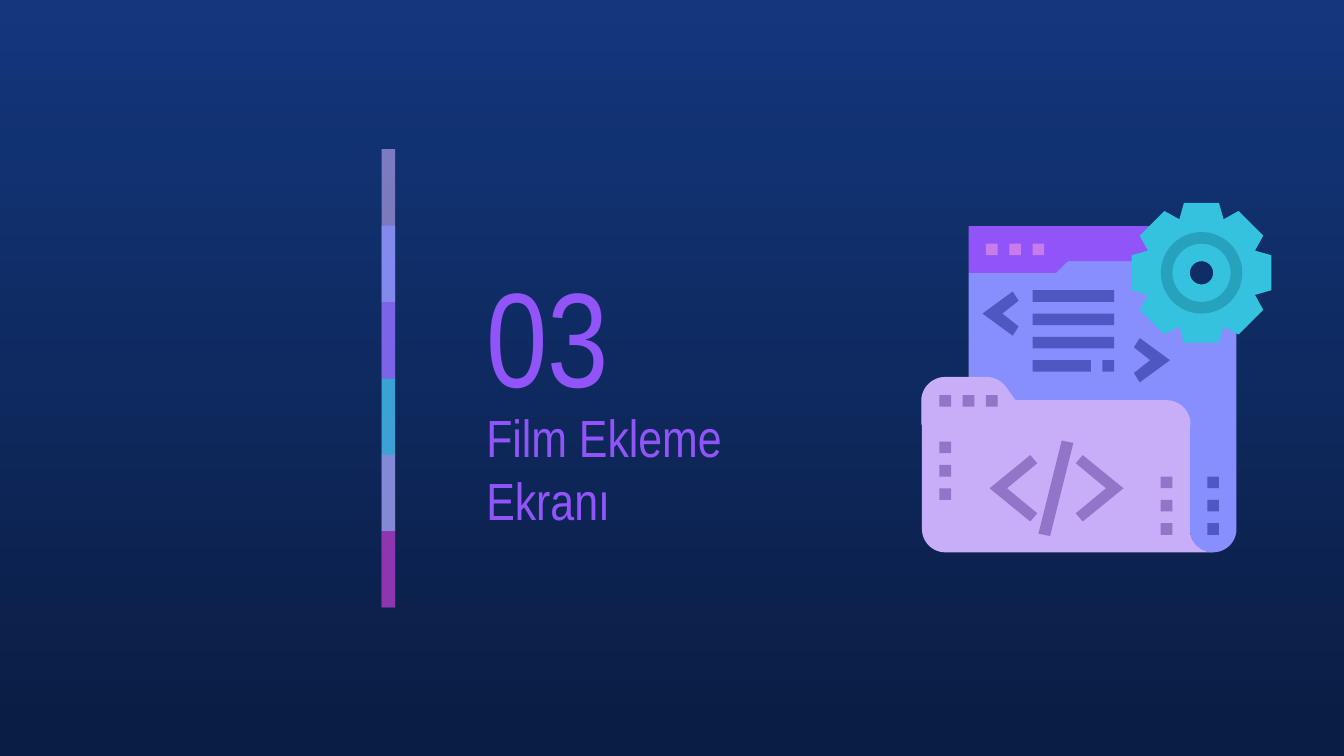
from math import cos, pi, radians, sin

from lxml.etree import SubElement
from pptx import Presentation
from pptx.dml.color import RGBColor
from pptx.enum.shapes import MSO_SHAPE
from pptx.enum.text import MSO_ANCHOR
from pptx.oxml.ns import qn
from pptx.util import Inches, Pt

COLORS = {
    "sky": "13367C", "night": "0A1D42",
    "lilac": "C8AEF8", "periwinkle": "878FFF", "violet": "9154F8",
    "cyan": "35C2DF", "pink": "CA7BEB", "magenta": "972CB4",
    "teal": "26A2BC", "mauve": "9275C8", "indigo": "4F57C3",
}
FONT = "Arial Narrow"
SLIDE_WIDTH = 10
SLIDE_HEIGHT = SLIDE_WIDTH * 9 / 16

# text, (left, top, width, height), size
TITLES = [
    ("03", (3.52, 1.81, 1.75, 1.35), 72),
    ("Film Ekleme Ekranı", (3.52, 3.15, 2.87, 0.67), 28),
]

# Each band reaches under the next one; colour, opacity in percent, steps high
BANDS = [
    ("lilac", 59, 2), ("periwinkle", 74, 2), ("violet", 53, 2),
    ("cyan", 76, 2), ("pink", 56, 2), ("magenta", 74, 1),
]
BAND_LEFT, BAND_TOP, BAND_WIDTH = 2.84, 1.11, 0.1
BAND_STEP = 3.41 / len(BANDS)

# The icon lies on a grid of 30 by 30 cells
ICON_LEFT, ICON_TOP, CELL = 6.86, 1.51, 2.6 / 30
GEAR_CENTER = (24, 6)

# colour, columns, rows, width in cells
BLOCKS = [
    ("pink", (5.5, 7.5, 9.5), (3.5,), 1),
    ("mauve", (1.5, 3.5, 5.5), (16.5,), 1),
    ("mauve", (1.5,), (20.5, 22.5, 24.5), 1),
    ("mauve", (20.5,), (23.5, 25.5, 27.5), 1),
    ("indigo", (24.5,), (23.5, 25.5, 27.5), 1),
    ("indigo", (9.5,), (7.5, 9.5, 11.5), 7),
    ("indigo", (9.5,), (13.5,), 5),
    ("indigo", (15.5,), (13.5,), 1),
]

SMALL_CHEVRON = [(0, 0), (2.6, -1.9), (3.1, -1.1), (1.7, 0), (3.1, 1.1), (2.6, 1.9)]
LARGE_CHEVRON = [(0, 0), (3.5, -2.85), (4.1, -2.15), (1.5, 0), (4.1, 2.15), (3.5, 2.85)]
# colour, outline, tip, direction in which the arms run
CHEVRONS = [
    ("indigo", SMALL_CHEVRON, (5.2, 9.5), 1),
    ("indigo", SMALL_CHEVRON, (21.3, 13.5), -1),
    ("mauve", LARGE_CHEVRON, (5.8, 24.5), 1),
    ("mauve", LARGE_CHEVRON, (17.3, 24.5), -1),
]


def arc(center, radius, start, end):
    """Points along an arc; angles in degrees, clockwise from the right."""
    steps = max(1, round(abs(end - start) / 6))
    angles = [radians(start + (end - start) * i / steps) for i in range(steps + 1)]
    return [(center[0] + radius * cos(a), center[1] + radius * sin(a)) for a in angles]


def gear_outline(teeth=8, tip=6, half_tooth=1.5, root=4.97):
    points = []
    for tooth in range(teeth):
        turn = 2 * pi * tooth / teeth
        gap = turn + pi / teeth
        for x, y in ((tip, -half_tooth), (tip, half_tooth)):
            points.append((x * cos(turn) - y * sin(turn), x * sin(turn) + y * cos(turn)))
        points.append((root * cos(gap), root * sin(gap)))
    return [(GEAR_CENTER[0] + x, GEAR_CENTER[1] + y) for x, y in points]


PAGE = [
    (12.5, 5), (20, 5), (20, 8), (22, 10), (27, 10.3),
    *arc((25, 28), 2, 0, 180), (23, 20), (4, 20), (4, 6), (11.5, 6),
]
TITLE_BAR = [(4, 2), (19.5, 2), (20.5, 3), (20, 5), (12.5, 5), (11.5, 6), (4, 6)]
FOLDER_BODY = [
    (0, 19), *arc((2, 28), 2, 180, 90), *arc((25, 28), 2, 90, 180), (23, 19),
]
FOLDER_TAB = [
    (0, 19), *arc((2, 17), 2, 180, 270), *arc((5.5, 17.1), 2.1, 270, 323),
    (8, 17), *arc((21, 19), 2, 270, 360),
]
SLASH = [(12, 20.4), (10, 28.4), (11, 28.6), (13, 20.6)]


def color(name):
    return RGBColor.from_string(COLORS[name])


def paint(shape, name):
    shape.shadow.inherit = False
    shape.fill.solid()
    shape.fill.fore_color.rgb = color(name)
    shape.line.fill.background()
    return shape


def add_preset(slide, kind, box, name):
    return paint(slide.shapes.add_shape(kind, *map(Inches, box)), name)


def icon_box(column, row, width, height):
    return (ICON_LEFT + column * CELL, ICON_TOP + row * CELL, width * CELL, height * CELL)


def add_outline(slide, name, *contours):
    """Draw closed contours given in icon cells; inner ones become holes."""
    placed = [[(Inches(ICON_LEFT + x * CELL), Inches(ICON_TOP + y * CELL))
               for x, y in contour] for contour in contours]
    builder = slide.shapes.build_freeform(*placed[0][0])
    for index, points in enumerate(placed):
        if index:
            builder.move_to(*points[0])
        builder.add_line_segments(points[1:], close=True)
    return paint(builder.convert_to_shape(), name)


def add_ring(slide, name, outer, inner):
    x, y = GEAR_CENTER
    box = icon_box(x - outer, y - outer, 2 * outer, 2 * outer)
    ring = add_preset(slide, MSO_SHAPE.DONUT, box, name)
    ring.adjustments[0] = (outer - inner) / (2 * outer)


def add_bands(slide):
    for index, (name, opacity, steps) in enumerate(BANDS):
        box = (BAND_LEFT, BAND_TOP + index * BAND_STEP, BAND_WIDTH, steps * BAND_STEP)
        band = add_preset(slide, MSO_SHAPE.RECTANGLE, box, name)
        fill_color = band._element.spPr.find(qn("a:solidFill"))[0]
        SubElement(fill_color, qn("a:alpha")).set("val", str(opacity * 1000))


def add_title(slide, text, box, size):
    frame = slide.shapes.add_textbox(*map(Inches, box)).text_frame
    frame.word_wrap = True
    frame.vertical_anchor = MSO_ANCHOR.MIDDLE
    frame.margin_left = frame.margin_right = Inches(0.1)
    frame.margin_top = frame.margin_bottom = Inches(0.1)
    frame.text = text
    font = frame.paragraphs[0].runs[0].font
    font.name, font.size = FONT, Pt(size)
    font.color.rgb = color("violet")


def add_icon(slide):
    add_outline(slide, "periwinkle", PAGE)
    add_outline(slide, "violet", TITLE_BAR)
    add_outline(slide, "lilac", FOLDER_BODY)
    tab = add_outline(slide, "lilac", FOLDER_TAB)
    tab.line.color.rgb = color("lilac")
    tab.line.width = Pt(0.75)
    add_outline(slide, "cyan", gear_outline(), arc(GEAR_CENTER, 3, 360, 0))
    add_ring(slide, "cyan", 3, 1)
    add_ring(slide, "teal", 3.5, 2.5)
    for name, columns, rows, width in BLOCKS:
        for column in columns:
            for row in rows:
                add_preset(slide, MSO_SHAPE.RECTANGLE, icon_box(column, row, width, 1), name)
    for name, outline, (x, y), direction in CHEVRONS:
        add_outline(slide, name, [(x + direction * dx, y + dy) for dx, dy in outline])
    add_outline(slide, "mauve", SLASH)


def main():
    presentation = Presentation()
    presentation.slide_width = Inches(SLIDE_WIDTH)
    presentation.slide_height = Inches(SLIDE_HEIGHT)
    slide = presentation.slides.add_slide(presentation.slide_layouts[6])
    background = slide.background.fill
    background.gradient()
    background.gradient_angle = 270
    for stop, name, position in zip(background.gradient_stops, ("sky", "night"), (0, 1)):
        stop.color.rgb = color(name)
        stop.position = position
    add_bands(slide)
    for title in TITLES:
        add_title(slide, *title)
    add_icon(slide)
    presentation.save("out.pptx")


if __name__ == "__main__":
    main()
